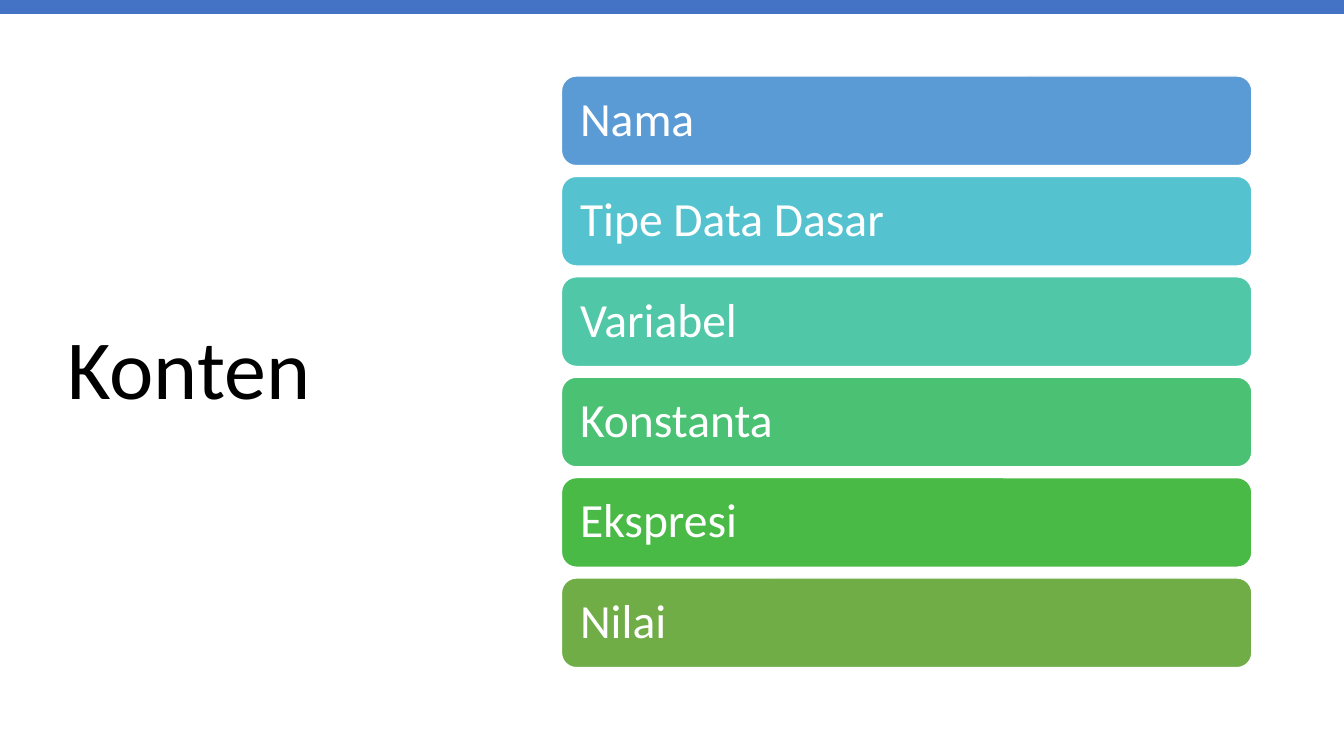
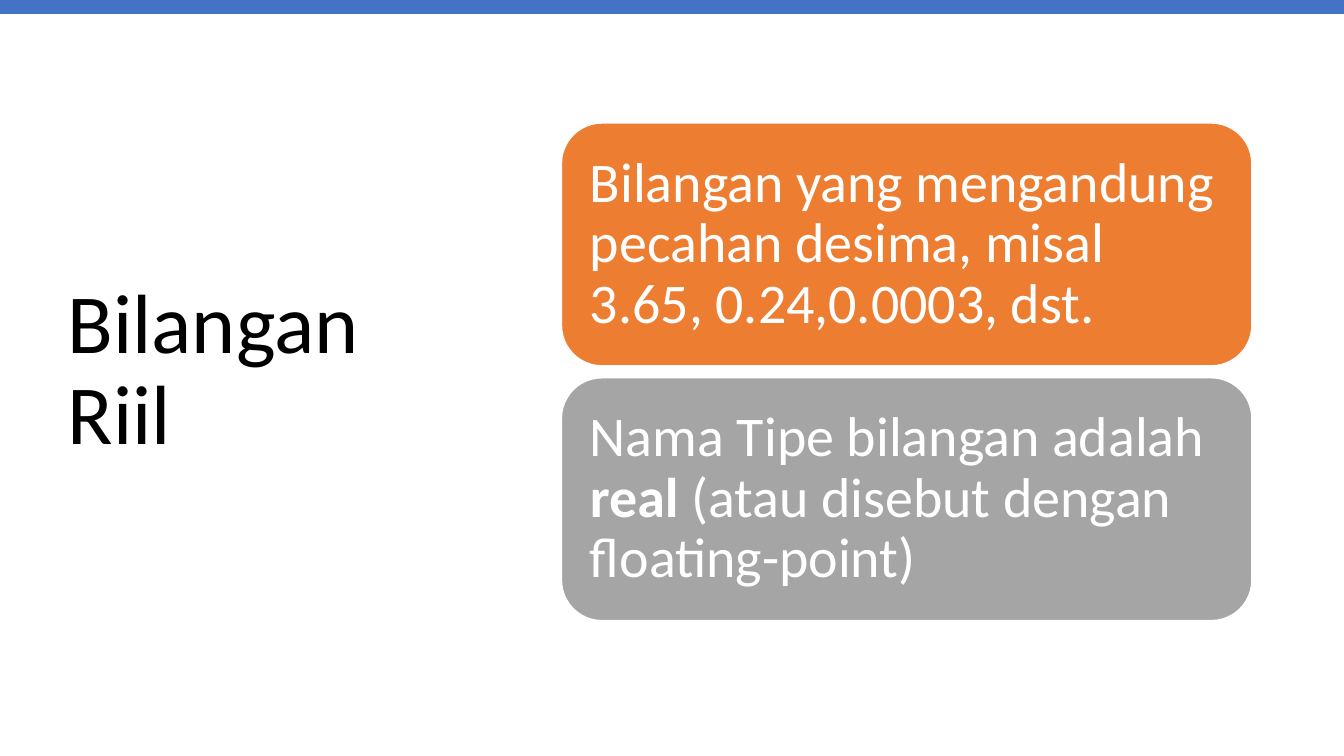
from dataclasses import dataclass

from pptx import Presentation
from pptx import util as u
from pptx.dml.color import RGBColor
from pptx.enum import shapes, text

FONT = "Calibri"
COLORS = {
    "band": "4472C4",
    "title": "000000",
    "light": "FFFFFF",
    "blue": "5B9BD5",
    "cyan": "55C3CF",
    "teal": "50C8A7",
    "mint": "4BC174",
    "green": "4ABA46",
    "olive": "70AD47",
    "orange": "ED7D31",
    "gray": "A5A5A5",
}
LINE_SPACING = 0.9
TITLE_ONLY = 5

# Lengths in centimetres
BAND_HEIGHT = 0.35
CARD_LEFT, CARD_WIDTH = 14.15, 17.4
STACK_MIDDLE = 9.37


@dataclass(frozen=True)
class Run:
    text: str
    bold: bool = False


@dataclass(frozen=True)
class Card:
    color: str
    runs: tuple[Run, ...]


@dataclass(frozen=True)
class CardStyle:
    height: float
    gap: float
    inset: float
    size: int


@dataclass(frozen=True)
class Topic:
    title: str
    style: CardStyle
    cards: tuple[Card, ...]


TOPICS = (
    Topic("Konten", CardStyle(height=2.26, gap=0.27, inset=0.36, size=34), (
        Card("blue", (Run("Nama"),)),
        Card("cyan", (Run("Tipe Data Dasar"),)),
        Card("teal", (Run("Variabel"),)),
        Card("mint", (Run("Konstanta"),)),
        Card("green", (Run("Ekspresi"),)),
        Card("olive", (Run("Nilai"),)),
    )),
    Topic("Bilangan Riil", CardStyle(height=6.12, gap=0.3, inset=0.42, size=40), (
        Card("orange", (
            Run("Bilangan yang mengandung pecahan desima, misal 3.65, 0.24,0.0003, dst."),
        )),
        Card("gray", (
            Run("Nama Tipe bilangan adalah "),
            Run("real", bold=True),
            Run(" (atau disebut dengan floating-point)"),
        )),
    )),
)


def rgb(name: str) -> RGBColor:
    return RGBColor.from_string(COLORS[name])


def format_paragraph(p, size: int, color: str) -> None:
    p.alignment = text.PP_ALIGN.LEFT
    p.line_spacing = LINE_SPACING
    for r in p.runs:
        r.font.name = FONT
        r.font.size = u.Pt(size)
        r.font.color.rgb = rgb(color)


def add_filled_shape(s, kind, left: int, top: int, width: int, height: int, color: str):
    sp = s.shapes.add_shape(kind, left, top, width, height)
    sp.shadow.inherit = False
    sp.fill.solid()
    sp.fill.fore_color.rgb = rgb(color)
    sp.line.fill.background()
    return sp


def set_title(s, title: str) -> None:
    sp = s.shapes.title
    sp.left, sp.top = u.Cm(1.45), u.Cm(1.73)
    sp.width, sp.height = u.Cm(10.57), u.Cm(15.29)
    tf = sp.text_frame
    tf.text = title
    tf.word_wrap = True
    tf.auto_size = text.MSO_AUTO_SIZE.NONE
    tf.vertical_anchor = text.MSO_ANCHOR.MIDDLE
    format_paragraph(tf.paragraphs[0], 60, "title")


def add_card(s, card: Card, top: float, style: CardStyle) -> None:
    sp = add_filled_shape(s, shapes.MSO_SHAPE.ROUNDED_RECTANGLE, u.Cm(CARD_LEFT),
                          u.Cm(top), u.Cm(CARD_WIDTH), u.Cm(style.height), card.color)
    sp.line.color.rgb = rgb("light")
    sp.line.width = u.Pt(1)
    tf = sp.text_frame
    tf.word_wrap = True
    tf.vertical_anchor = text.MSO_ANCHOR.MIDDLE
    tf.margin_left = tf.margin_right = u.Cm(style.inset)
    tf.margin_top = tf.margin_bottom = u.Cm(style.inset)
    p = tf.paragraphs[0]
    for run in card.runs:
        r = p.add_run()
        r.text = run.text
        r.font.bold = run.bold
    format_paragraph(p, style.size, "light")


def add_card_stack(s, topic: Topic) -> None:
    """Stack the cards with equal gaps, centred on STACK_MIDDLE."""
    style = topic.style
    pitch = style.height + style.gap
    top = STACK_MIDDLE - (len(topic.cards) * pitch - style.gap) / 2
    for i, card in enumerate(topic.cards):
        add_card(s, card, top + i * pitch, style)


def add_topic_slide(prs, topic: Topic) -> None:
    s = prs.slides.add_slide(prs.slide_layouts[TITLE_ONLY])
    set_title(s, topic.title)
    add_filled_shape(s, shapes.MSO_SHAPE.RECTANGLE, 0, 0, prs.slide_width,
                     u.Cm(BAND_HEIGHT), "band")
    add_card_stack(s, topic)


def main() -> None:
    prs = Presentation()
    prs.slide_width, prs.slide_height = u.Cm(33.87), u.Cm(19.05)
    for topic in TOPICS:
        add_topic_slide(prs, topic)
    prs.save("out.pptx")


if __name__ == "__main__":
    main()
